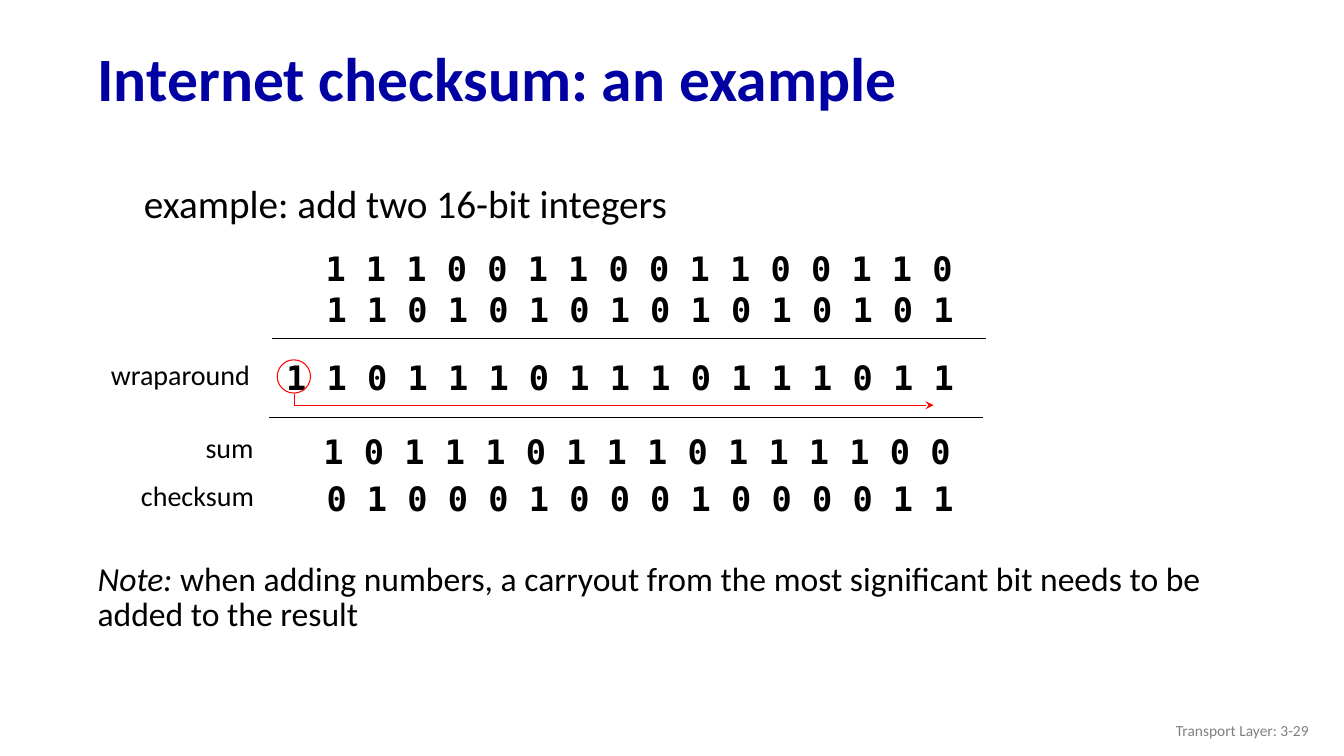
from lxml.etree import SubElement
from pptx import Presentation
from pptx.dml.color import RGBColor
from pptx.enum.shapes import MSO_CONNECTOR, MSO_SHAPE
from pptx.enum.text import MSO_ANCHOR, PP_ALIGN
from pptx.oxml.ns import qn
from pptx.util import Pt

PX = 9144  # 100 px to the inch
BLACK, BLUE, RED, GREY = "000000", "0000A3", "FF0000", "808080"
SANS, MONO = "Calibri", "DejaVu Sans Mono"


def rgb(value):
    return RGBColor.from_string(value)


class Deck:
    def __init__(self, width, height):
        self.prs = Presentation()
        self.prs.slide_width, self.prs.slide_height = width * PX, height * PX
        self.slide = self.prs.slides.add_slide(self.prs.slide_layouts[6])
        self.shapes = self.slide.shapes

    def text(self, box, runs, size, color=BLACK, font=SANS, bold=False, wrap=True,
             spacing=None, align=PP_ALIGN.LEFT, anchor=MSO_ANCHOR.TOP):
        """Add one paragraph; runs is a string or a list of (text, italic)."""
        tf = self.shapes.add_textbox(*(v * PX for v in box)).text_frame
        tf.word_wrap, tf.vertical_anchor = wrap, anchor
        p = tf.paragraphs[0]
        p.alignment, p.line_spacing = align, spacing
        p.font.name, p.font.size, p.font.bold = font, Pt(size), bold
        p.font.color.rgb = rgb(color)
        for words, italic in [(runs, False)] if isinstance(runs, str) else runs:
            r = p.add_run()
            r.text = words
            if italic:
                r.font.italic = True

    def bits(self, x, y, digits):
        width = 40 * len(digits) + 5
        self.text((x, y, width, 50), " ".join(digits), 24, font=MONO, bold=True, wrap=False)

    def label(self, x, y, width, words):
        self.text((x, y, width, 44), words, 20, wrap=False)

    def rule(self, x, y, width):
        line = self.shapes.add_connector(
            MSO_CONNECTOR.STRAIGHT, x * PX, y * PX, (x + width) * PX, y * PX)
        line.line.color.rgb, line.line.width = rgb(BLACK), Pt(1)
        SubElement(line._element.spPr, qn("a:effectLst"))

    def outline(self, sp, color):
        sp.shadow.inherit = False
        sp.fill.background()
        sp.line.color.rgb, sp.line.width = rgb(color), Pt(0.75)

    def circle(self, x, y, size, color):
        sp = self.shapes.add_shape(MSO_SHAPE.OVAL, x * PX, y * PX, size * PX, size * PX)
        self.outline(sp, color)

    def bent_arrow(self, points, color):
        builder = self.shapes.build_freeform(*points[0], scale=PX)
        builder.add_line_segments(points[1:], close=False)
        sp = builder.convert_to_shape()
        self.outline(sp, color)
        SubElement(sp.line._get_or_add_ln(), qn("a:tailEnd"), type="stealth")


def main():
    deck = Deck(1333, 750)
    deck.text((87, 32, 1214, 98), "Internet checksum: an example", 44, BLUE,
              bold=True, spacing=0.9, anchor=MSO_ANCHOR.MIDDLE)
    deck.text((133, 159, 850, 300), "example: add two 16-bit integers", 28, spacing=1.3)

    for x, y, digits in [
        (313, 241, "1110011001100110"),
        (314, 282, "1101010101010101"),
        (274, 349, "11011101110111011"),
        (311, 423, "1011101110111100"),
        (314, 469, "0100010001000011"),
    ]:
        deck.bits(x, y, digits)
    for x, y, width, words in [
        (100, 350, 159, "wraparound"),
        (194, 422, 70, "sum"),
        (130, 470, 134, "checksum"),
    ]:
        deck.label(x, y, width, words)
    for x, y in [(270, 336), (267, 414)]:
        deck.rule(x, y, 708)

    deck.circle(275, 357, 33, RED)
    deck.bent_arrow([(292, 391), (292, 402), (926, 402)], RED)

    note = " when adding numbers, a carryout from the most significant bit needs to be added to the result"
    deck.text((87, 555, 1134, 118), [("Note:", True), (note, False)], 24, spacing=0.85)
    deck.text((1008, 705, 300, 40), "Transport Layer: 3-29", 11, GREY,
              align=PP_ALIGN.RIGHT, anchor=MSO_ANCHOR.MIDDLE)
    deck.prs.save("out.pptx")


if __name__ == "__main__":
    main()
